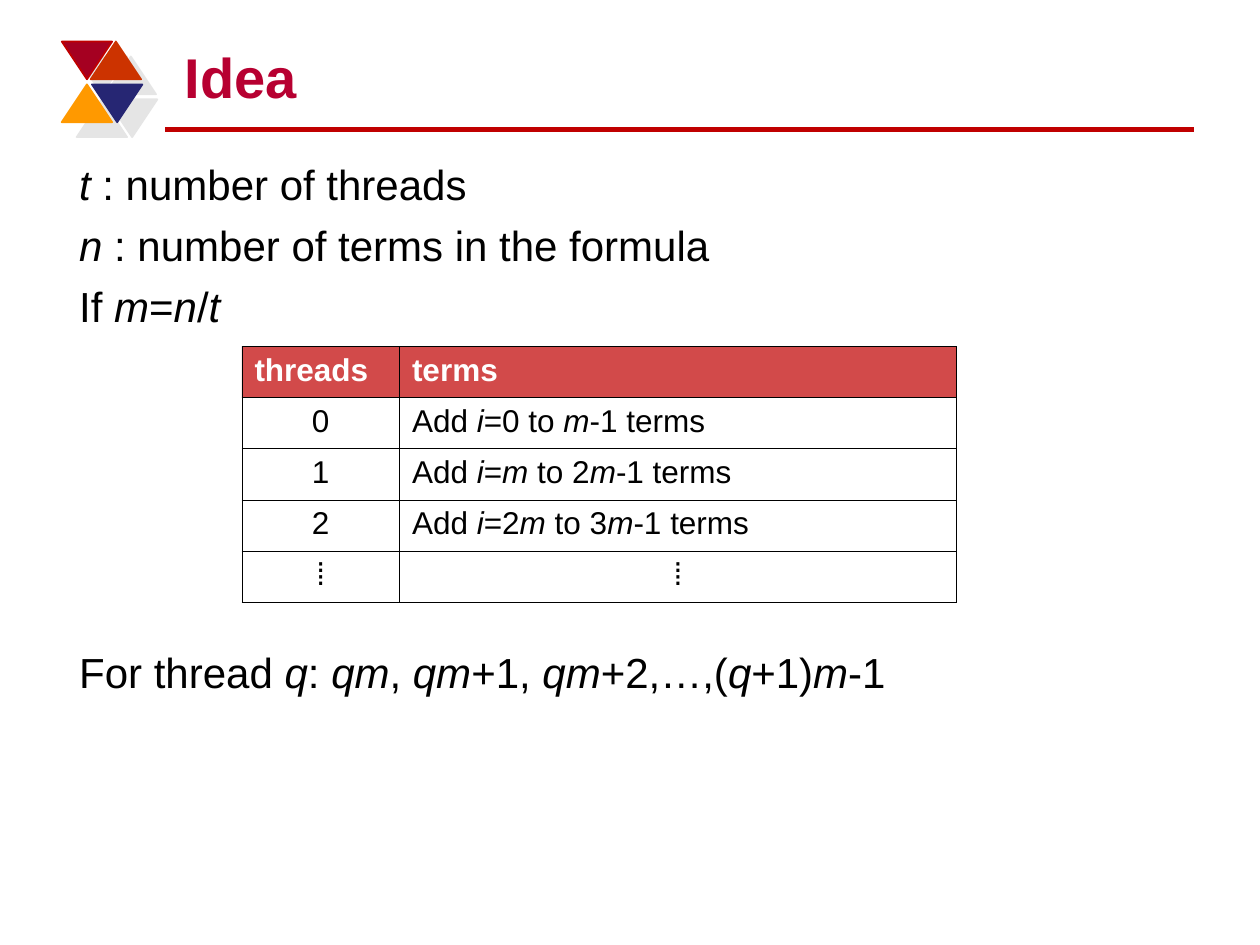
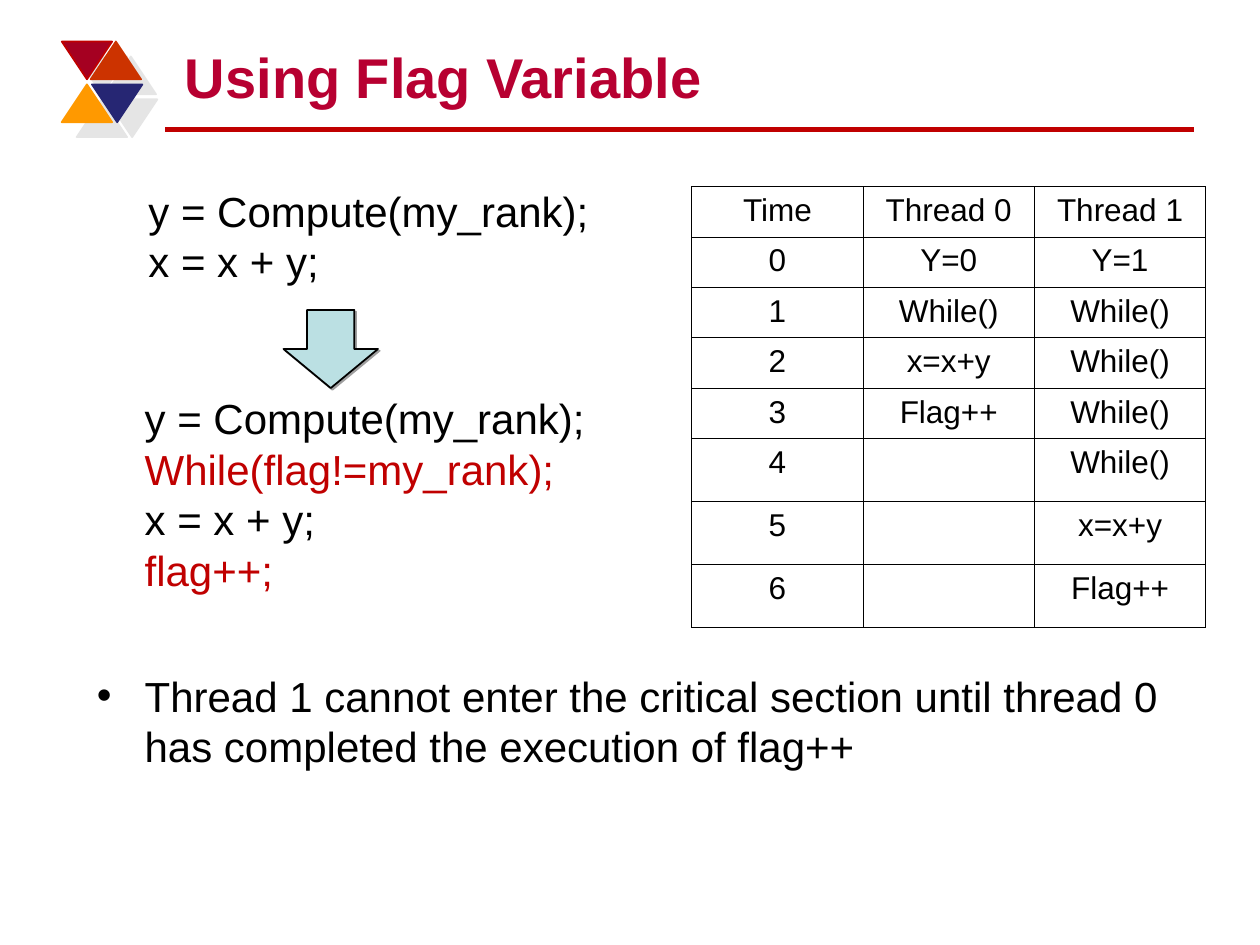
from collections.abc import Sequence
from dataclasses import dataclass
from typing import NamedTuple

from lxml import etree
from pptx import Presentation
from pptx.dml.color import RGBColor
from pptx.enum.shapes import MSO_CONNECTOR, MSO_SHAPE
from pptx.enum.text import MSO_ANCHOR, PP_ALIGN
from pptx.oxml.ns import qn
from pptx.util import Emu, Inches, Pt

TRIANGLE, DOWN_ARROW = MSO_SHAPE.ISOSCELES_TRIANGLE, MSO_SHAPE.DOWN_ARROW
STRAIGHT = MSO_CONNECTOR.STRAIGHT
LEFT, CENTER = PP_ALIGN.LEFT, PP_ALIGN.CENTER
TOP, BOTTOM = MSO_ANCHOR.TOP, MSO_ANCHOR.BOTTOM

COLUMNS, ROWS = 100, 75
SLIDE_WIDTH, SLIDE_HEIGHT = Inches(10), Inches(7.5)


@dataclass(frozen=True)
class Theme:
    font: str = "Arial"
    text: str = "000000"
    title: str = "B70031"
    accent: str = "C00000"
    header_text: str = "FFFFFF"
    arrow: str = "BBE0E3"
    shadow: str = "808080"
    title_size: float = 32
    body_size: float = 24
    table_size: float = 18
    body_leading: float = 28.8
    paragraph_gap: float = 6
    border: float = 0.45
    rule: float = 3
    outline: float = 1


THEME = Theme()


class Box(NamedTuple):
    """A place on the grid, in columns and rows."""
    left: float
    top: float
    width: float
    height: float


class Shadow(NamedTuple):
    opacity: int
    distance: float


class Emblem(NamedTuple):
    left: float
    top: float
    rotation: int
    fill: str
    outline: str


class Line(NamedTuple):
    """One paragraph; parts between asterisks are italic."""
    text: str
    color: str = THEME.text


class Grid(NamedTuple):
    left: float
    top: float
    widths: Sequence[float]
    heights: Sequence[float]


EMBLEM_WIDTH, EMBLEM_HEIGHT = 4, 3
EMBLEMS = (
    Emblem(4.9, 3.3, 180, "A50021", THEME.accent),
    Emblem(7.2, 3.3, 0, "CC3300", "CC3300"),
    Emblem(4.9, 6.7, 0, "FF9900", "FF9900"),
    Emblem(7.3, 6.7, 180, "262673", "262673"),
)
EMBLEM_SHADOW, ARROW_SHADOW = Shadow(20, 12.1), Shadow(75, 1.4)
TITLE_BOX = Box(13.7, 2.5, 80, 6.7)
RULE_LEFT, RULE_RIGHT, RULE_ROW = 13.1, 94.8, 10.3

DEFINITIONS = (
    Line("*t* : number of threads"),
    Line("*n* : number of terms in the formula"),
    Line("If *m*=*n*/*t*"),
)
THREAD_RANGE = Line("For thread *q*: *qm*, *qm*+1, *qm*+2,…,(*q*+1)*m*-1")
TERMS_BY_THREAD = (
    ("threads", "terms"),
    ("0", "Add *i*=0 to *m*-1 terms"),
    ("1", "Add *i*=*m* to 2*m*-1 terms"),
    ("2", "Add *i*=2*m* to 3*m*-1 terms"),
    ("⁞", "⁞"),
)
COMPUTE, ADD = Line("y = Compute(my_rank);"), Line("x = x + y;")
WAIT = Line("While(flag!=my_rank);", THEME.accent)
RELEASE = Line("flag++;", THEME.accent)
TIMELINE = (
    ("Time", "Thread 0", "Thread 1"),
    ("0", "Y=0", "Y=1"),
    ("1", "While()", "While()"),
    ("2", "x=x+y", "While()"),
    ("3", "Flag++", "While()"),
    ("4", "", "While()"),
    ("5", "", "x=x+y"),
    ("6", "", "Flag++"),
)
CONCLUSION = Line("Thread 1 cannot enter the critical section until thread 0 "
                  "has completed the execution of flag++")


def across(columns: float) -> Emu:
    return Emu(round(SLIDE_WIDTH * columns / COLUMNS))


def down(rows: float) -> Emu:
    return Emu(round(SLIDE_HEIGHT * rows / ROWS))


def place(box: Box) -> tuple[Emu, Emu, Emu, Emu]:
    return across(box.left), down(box.top), across(box.width), down(box.height)


def rgb(color: str) -> RGBColor:
    return RGBColor.from_string(color)


def child(parent, tag: str, **attributes):
    return etree.SubElement(parent, qn(tag),
                            {key: str(value) for key, value in attributes.items()})


def add_bullet(paragraph, indent: float) -> None:
    properties = paragraph._p.get_or_add_pPr()
    properties.set("marL", str(across(indent)))
    properties.set("indent", str(-across(indent)))
    child(properties, "a:buFont", typeface=THEME.font)
    child(properties, "a:buChar", char="•")


def write(frame, lines: Sequence[Line], *, size: float = THEME.body_size,
          bold: bool = False, align=LEFT, leading: float | None = None,
          gap: float = 0, bullet_indent: float = 0) -> None:
    for index, line in enumerate(lines):
        paragraph = frame.add_paragraph() if index else frame.paragraphs[0]
        paragraph.alignment = align
        if leading:
            paragraph.line_spacing = Pt(leading)
        if index and gap:
            paragraph.space_before = Pt(gap)
        if bullet_indent:
            add_bullet(paragraph, bullet_indent)
        for part, text in enumerate(line.text.split("*")):
            if not text:
                continue
            run = paragraph.add_run()
            run.text = text
            run.font.name = THEME.font
            run.font.size = Pt(size)
            run.font.bold = bold
            run.font.italic = part % 2 == 1
            run.font.color.rgb = rgb(line.color)


def add_text(slide, box: Box, lines: Sequence[Line], *, anchor=TOP, **text_format) -> None:
    frame = slide.shapes.add_textbox(*place(box)).text_frame
    frame.word_wrap = True
    frame.vertical_anchor = anchor
    write(frame, lines, **text_format)


def add_body(slide, box: Box, lines: Sequence[Line], **text_format) -> None:
    add_text(slide, box, lines, leading=THEME.body_leading, **text_format)


def add_shadowed(slide, preset, box: Box, fill: str, outline: str, shadow: Shadow,
                 rotation: int = 0) -> None:
    shape = slide.shapes.add_shape(preset, *place(box))
    shape.rotation = rotation
    shape.fill.solid()
    shape.fill.fore_color.rgb = rgb(fill)
    shape.line.color.rgb = rgb(outline)
    shape.line.width = Pt(THEME.outline)
    shape.shadow.inherit = False
    effects = shape._element.spPr.find(qn("a:effectLst"))
    outer = child(effects, "a:outerShdw", dist=Pt(shadow.distance),
                  dir=45 * 60000, algn="ctr", rotWithShape=0)
    tint = child(outer, "a:srgbClr", val=THEME.shadow)
    child(tint, "a:alpha", val=shadow.opacity * 1000)


def add_borders(cell) -> None:
    properties = cell._tc.get_or_add_tcPr()
    for side in ("a:lnL", "a:lnR", "a:lnT", "a:lnB"):
        border = child(properties, side, w=Pt(THEME.border))
        child(child(border, "a:solidFill"), "a:srgbClr", val=THEME.text)


def fill_header(cell) -> None:
    cell.fill.solid()
    cell.fill.fore_color.rgb = rgb(THEME.accent)
    tint = cell._tc.tcPr.find(qn("a:solidFill")).find(qn("a:srgbClr"))
    child(tint, "a:alpha", val=71000)


def add_grid(slide, grid: Grid, rows: Sequence[Sequence[str]], *,
             header: bool = False) -> None:
    """Draw a ruled table; with a header, prose in the cells keeps to the left."""
    box = Box(grid.left, grid.top, sum(grid.widths), sum(grid.heights))
    table = slide.shapes.add_table(len(rows), len(grid.widths), *place(box)).table
    table.first_row = table.horz_banding = False
    for column, width in zip(table.columns, grid.widths):
        column.width = across(width)
    for row, height in zip(table.rows, grid.heights):
        row.height = down(height)
    for r, row in enumerate(rows):
        for c, text in enumerate(row):
            cell = table.cell(r, c)
            in_header = header and r == 0
            add_borders(cell)
            if in_header:
                fill_header(cell)
            else:
                cell.fill.background()
            prose = in_header or text.startswith("Add ")
            write(cell.text_frame,
                  [Line(text, THEME.header_text if in_header else THEME.text)],
                  size=THEME.table_size, bold=in_header,
                  align=LEFT if prose else CENTER)


def add_titled_slide(deck, title: str):
    slide = deck.slides.add_slide(deck.slide_layouts[6])
    rule = slide.shapes.add_connector(STRAIGHT, across(RULE_LEFT), down(RULE_ROW),
                                      across(RULE_RIGHT), down(RULE_ROW))
    rule.line.color.rgb = rgb(THEME.accent)
    rule.line.width = Pt(THEME.rule)
    child(rule._element.spPr, "a:effectLst")
    for emblem in EMBLEMS:
        box = Box(emblem.left, emblem.top, EMBLEM_WIDTH, EMBLEM_HEIGHT)
        add_shadowed(slide, TRIANGLE, box, emblem.fill, emblem.outline,
                     EMBLEM_SHADOW, emblem.rotation)
    add_text(slide, TITLE_BOX, [Line(title, THEME.title)], anchor=BOTTOM,
             size=THEME.title_size, bold=True)
    return slide


def add_idea(deck) -> None:
    slide = add_titled_slide(deck, "Idea")
    add_body(slide, Box(5.3, 12.1, 89.5, 15), DEFINITIONS, gap=THEME.paragraph_gap)
    add_body(slide, Box(5.3, 50.8, 89.5, 5), [THREAD_RANGE])
    add_grid(slide, Grid(19.2, 27.5, (12.5, 44.2), (4.06,) * len(TERMS_BY_THREAD)),
             TERMS_BY_THREAD, header=True)


def add_flag_variable(deck) -> None:
    slide = add_titled_slide(deck, "Using Flag Variable")
    add_body(slide, Box(6.7, 52.7, 89, 9), [CONCLUSION], bullet_indent=3.8)
    heights = [4 if all(row) else 5 for row in TIMELINE]
    add_grid(slide, Grid(54.9, 14.8, (13.6,) * 3, heights), TIMELINE)
    add_body(slide, Box(10.8, 14.2, 50, 9), [COMPUTE, ADD])
    add_body(slide, Box(10.5, 30.7, 50, 17), [COMPUTE, WAIT, ADD, RELEASE])
    add_shadowed(slide, DOWN_ARROW, Box(22.5, 24.6, 7.5, 6.2), THEME.arrow,
                 THEME.text, ARROW_SHADOW)


def main() -> None:
    deck = Presentation()
    deck.slide_width, deck.slide_height = SLIDE_WIDTH, SLIDE_HEIGHT
    add_idea(deck)
    add_flag_variable(deck)
    deck.save("out.pptx")


if __name__ == "__main__":
    main()
